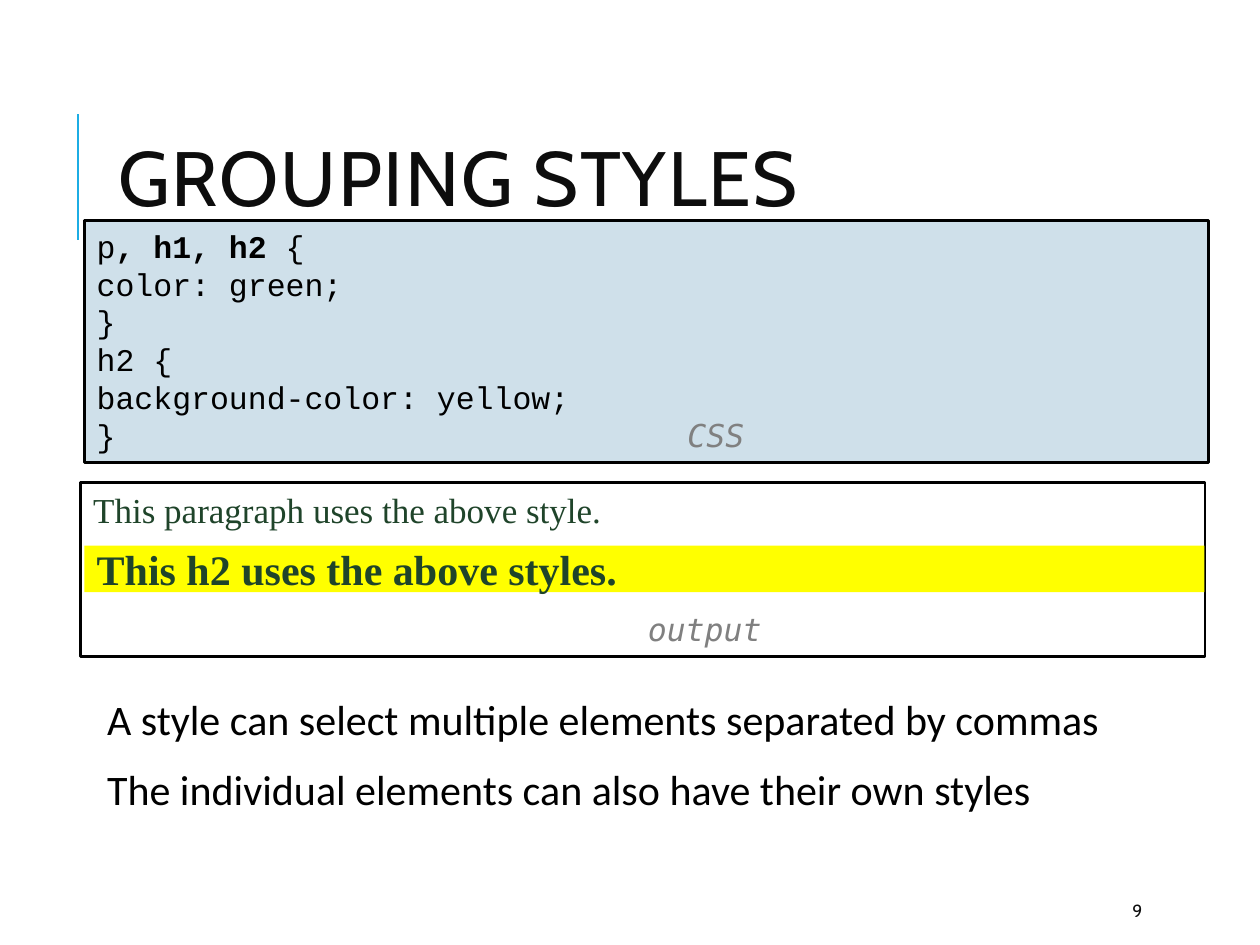
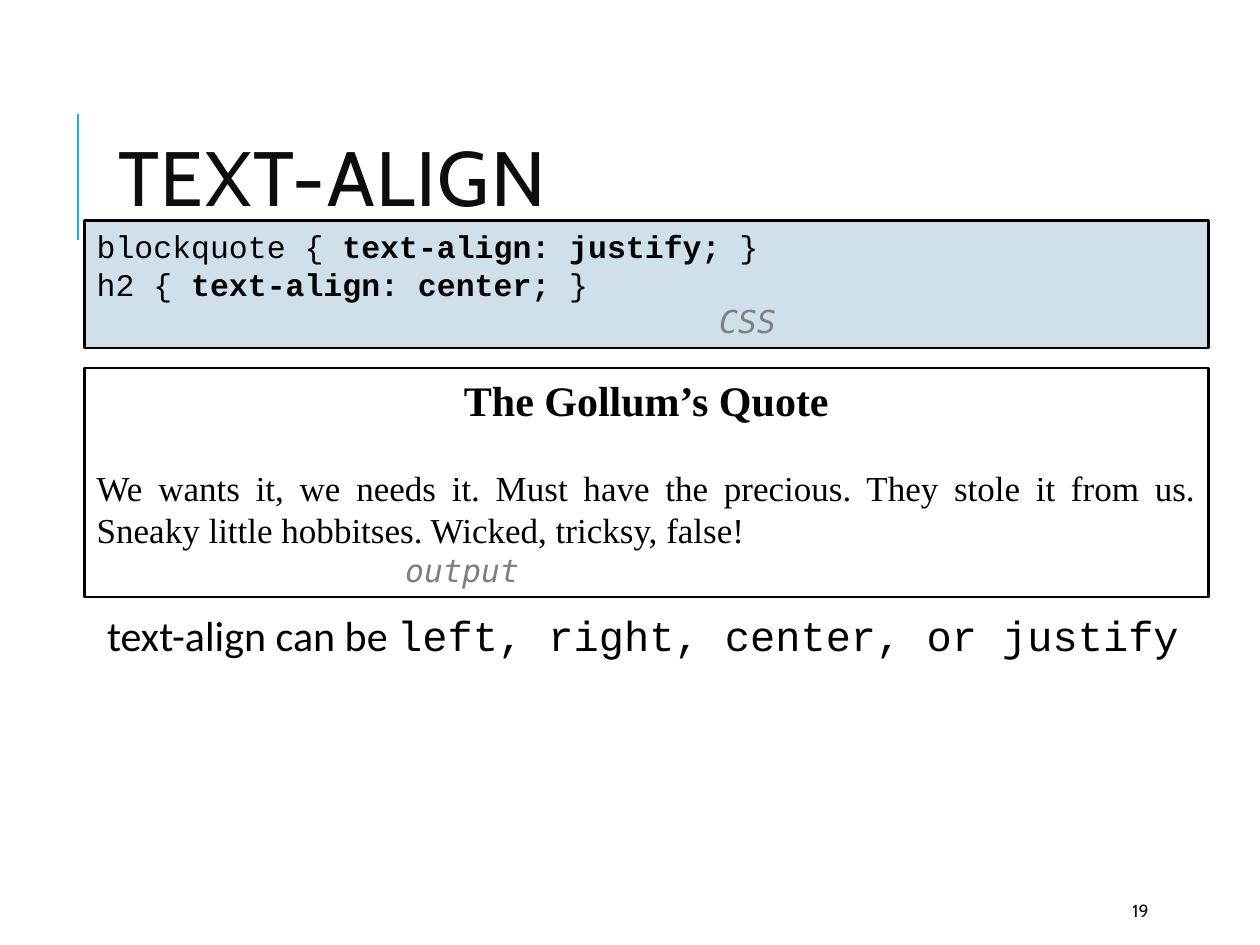
from dataclasses import dataclass

from lxml.etree import SubElement
from pptx import Presentation
from pptx.dml.color import RGBColor as Rgb
from pptx.enum.shapes import MSO_CONNECTOR as Connector, MSO_SHAPE as Preset
from pptx.enum.text import MSO_ANCHOR as Anchor, MSO_AUTO_SIZE as AutoSize, PP_ALIGN as Align
from pptx.oxml.ns import qn
from pptx.util import Cm, Pt


@dataclass(frozen=True)
class Theme:
    # Colours
    accent: str = "1CADE4"
    ink: str = "0D0D0D"
    black: str = "000000"
    white: str = "FFFFFF"
    code_fill: str = "CFE0EA"
    highlight: str = "FFFF00"
    green: str = "1F442A"
    grey: str = "808080"
    # Fonts
    heading_font: str = "Cabin"
    body_font: str = "Calibri"
    code_font: str = "Courier New"
    label_font: str = "DejaVu Sans Mono"
    output_font: str = "Times New Roman"
    # Type sizes in points
    title_size: int = 44
    body_size: int = 24
    output_size: int = 20
    code_size: int = 18
    number_size: int = 10
    line_height: float = 1.2


THEME = Theme()
PANEL_LEFT, PANEL_WIDTH = 1.7, 22.66
CODE_TOP = 4.45

# Formats of the recurring kinds of text
CODE = dict(size=THEME.code_size, font=THEME.code_font, color=THEME.black)
STRONG_CODE = dict(CODE, bold=True)
LABEL = dict(size=THEME.code_size, font=THEME.label_font, color=THEME.grey, italic=True)
BODY = dict(size=THEME.body_size, font=THEME.body_font, color=THEME.black)
BODY_CODE = dict(BODY, font=THEME.code_font)
OUTPUT = dict(size=THEME.output_size, font=THEME.output_font, color=THEME.black)
OUTPUT_HEADING = dict(OUTPUT, size=THEME.body_size, bold=True)


def add_span(para, text, *, size, font, color, bold=False, italic=False):
    span = para.add_run()
    span.text = text
    span.font.size = Pt(size)
    span.font.name = font
    span.font.color.rgb = Rgb.from_string(color)
    span.font.bold = bold
    span.font.italic = italic
    return span


def next_paragraph(frame):
    """Return the empty first paragraph, or a new one after the last."""
    first = frame.paragraphs[0]
    return first if not first.runs else frame.add_paragraph()


def add_line(frame, *spans, align=Align.LEFT, before=0, tab=None):
    """Add a paragraph of (text, format) spans, with an optional tab stop in cm."""
    para = next_paragraph(frame)
    if tab is not None:
        tabs = SubElement(para._p.get_or_add_pPr(), qn("a:tabLst"))
        SubElement(tabs, qn("a:tab"), pos=str(Cm(tab)), algn="l")
    para.alignment = align
    para.line_spacing = Pt(THEME.line_height * max(style["size"] for _, style in spans))
    if before:
        para.space_before = Pt(before)
    for text, style in spans:
        add_span(para, text, **style)


def add_panel(page, left, top, width, height, fill, outlined=True, anchor=Anchor.TOP):
    panel = page.shapes.add_shape(Preset.RECTANGLE, Cm(left), Cm(top), Cm(width), Cm(height))
    panel.shadow.inherit = False
    panel.fill.solid()
    panel.fill.fore_color.rgb = Rgb.from_string(fill)
    if outlined:
        panel.line.color.rgb = Rgb.from_string(THEME.black)
        panel.line.width = Pt(1.5)
    else:
        panel.line.fill.background()
    frame = panel.text_frame
    frame.word_wrap = True
    frame.vertical_anchor = anchor
    return frame


def add_text_box(page, left, top, width, height):
    frame = page.shapes.add_textbox(Cm(left), Cm(top), Cm(width), Cm(height)).text_frame
    frame.word_wrap = True
    return frame


def add_body(page, top, *lines):
    frame = add_text_box(page, 1.78, top, PANEL_WIDTH, 4.24)
    frame.margin_left = Cm(0.38)
    frame.margin_right = frame.margin_top = frame.margin_bottom = Cm(0.13)
    for index, spans in enumerate(lines):
        para = next_paragraph(frame)
        para.line_spacing = 0.9
        para.space_after = Pt(2)
        if index:
            para.space_before = Pt(12)
        for text, style in spans:
            add_span(para, text, **style)


def add_page(deck, title, number):
    """Add a page with the accent line, title and page number."""
    page = deck.slides.add_slide(deck.slide_layouts[5])

    # Accent line beside the title
    accent = page.shapes.add_connector(Connector.STRAIGHT, Cm(1.57), Cm(4.83), Cm(1.57), Cm(2.29))
    accent.line.color.rgb = Rgb.from_string(THEME.accent)
    accent.line.width = Pt(1.5)
    SubElement(accent._element.spPr, qn("a:effectLst"))

    # Title
    heading = page.shapes.title
    heading.left, heading.top, heading.width, heading.height = Cm(2.13), Cm(1.63), Cm(20.24), Cm(4.17)
    frame = heading.text_frame
    frame.auto_size = AutoSize.NONE
    frame.word_wrap = True
    frame.vertical_anchor = Anchor.MIDDLE
    para = frame.paragraphs[0]
    para.alignment = Align.LEFT
    para.line_spacing = 0.8
    span = add_span(para, title, size=THEME.title_size, font=THEME.heading_font, color=THEME.ink)
    span.font._element.set("spc", "100")

    # Page number
    frame = add_text_box(page, 22.58, 17.98, 2.03, 0.76)
    frame.vertical_anchor = Anchor.MIDDLE
    add_span(frame.paragraphs[0], number, size=THEME.number_size,
             font=THEME.heading_font, color=THEME.ink)
    return page


def add_grouping_page(deck):
    page = add_page(deck, "GROUPING STYLES", "9")
    add_body(page, 13.97,
             [("A style can select multiple elements separated by commas", BODY)],
             [("The individual elements can also have their own styles", BODY)])

    # Code
    code = add_panel(page, PANEL_LEFT, CODE_TOP, PANEL_WIDTH, 4.88, THEME.code_fill)
    add_line(code, ("p", CODE), (", h1, h2 ", STRONG_CODE), ("{", CODE))
    for text in ("color: green;", "}", "h2 {", "background-color: yellow;"):
        add_line(code, (text, CODE))
    add_line(code, ("}\t", CODE), ("CSS", LABEL), tab=11.91)

    # Rendered result
    output = add_panel(page, 1.63, 9.73, PANEL_WIDTH, 3.51, THEME.white)
    add_line(output, ("This paragraph uses the above style.", dict(OUTPUT, color=THEME.green)))
    add_line(output, ("\toutput", LABEL), before=45, tab=11.18)
    band = add_panel(page, PANEL_LEFT, 11, 22.58, 0.94, THEME.highlight,
                     outlined=False, anchor=Anchor.MIDDLE)
    add_line(band, ("This h2 uses the above styles.", dict(OUTPUT_HEADING, color=THEME.green)))


def add_alignment_page(deck):
    page = add_page(deck, "TEXT-ALIGN", "19")
    add_body(page, 12.27, [("text-align can be ", BODY),
                           ("left, right, center, or justify", BODY_CODE)])

    # Code
    code = add_panel(page, PANEL_LEFT, CODE_TOP, PANEL_WIDTH, 2.57, THEME.code_fill)
    for selector, value in (("blockquote", "justify"), ("h2", "center")):
        add_line(code, (f"{selector} {{ ", CODE), (f"text-align: {value}; ", STRONG_CODE), ("}", CODE))
    add_line(code, ("\tCSS", LABEL), tab=12.55)

    # Rendered result
    output = add_panel(page, PANEL_LEFT, 7.42, PANEL_WIDTH, 4.62, THEME.white)
    add_line(output, ("The Gollum’s Quote", OUTPUT_HEADING), align=Align.CENTER)
    add_line(output, ("We wants it, we needs it. Must have the precious. They stole it from us. "
                      "Sneaky little hobbitses. Wicked, tricksy, false!", OUTPUT),
             align=Align.JUSTIFY, before=24)
    add_line(output, ("\toutput", LABEL), tab=6.22)


def main():
    deck = Presentation()
    deck.slide_width, deck.slide_height = Cm(25.4), Cm(19.05)
    add_grouping_page(deck)
    add_alignment_page(deck)
    deck.save("out.pptx")


if __name__ == "__main__":
    main()
